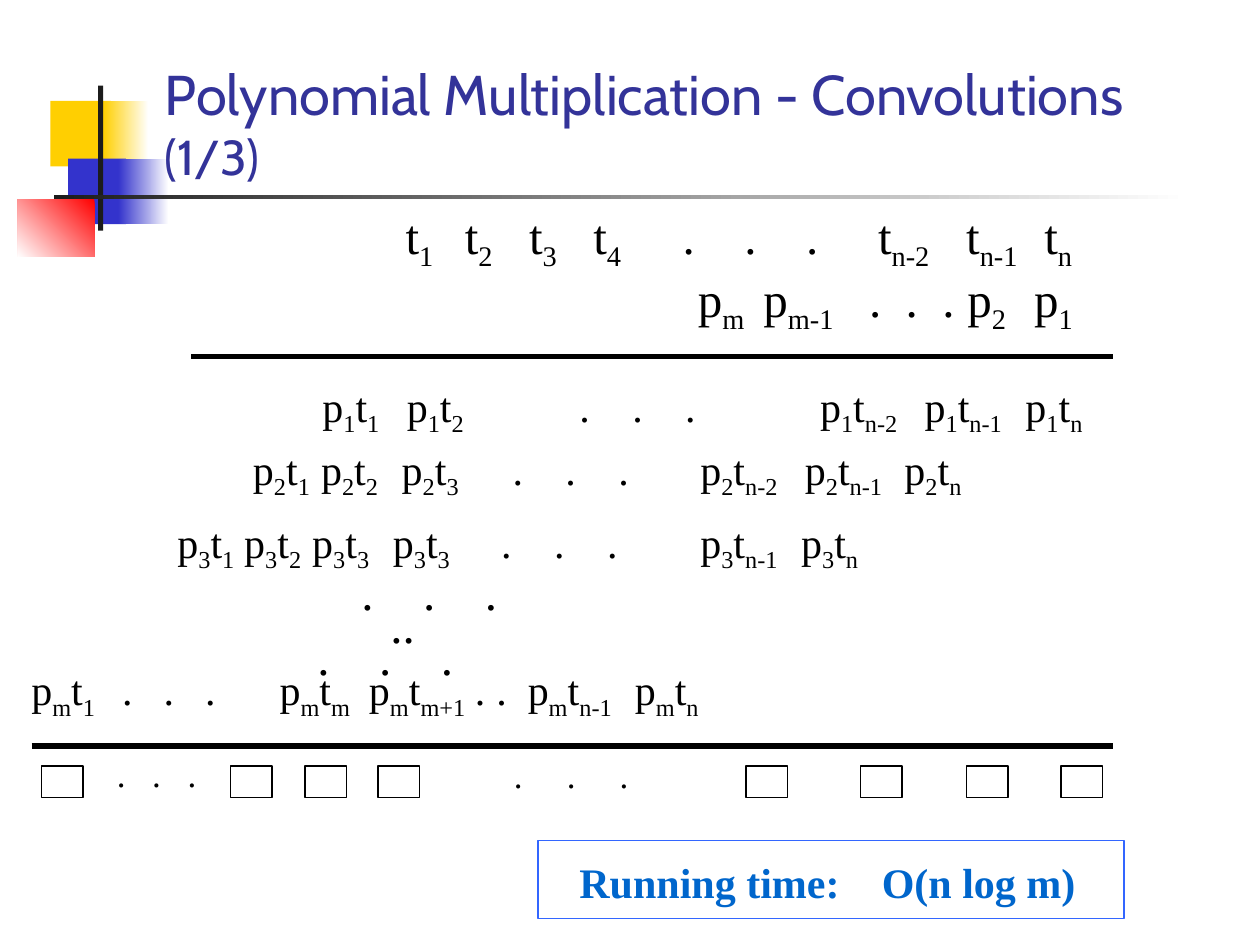
from lxml import etree
from pptx import Presentation
from pptx.dml.color import RGBColor
from pptx.enum.shapes import MSO_CONNECTOR, MSO_SHAPE
from pptx.enum.text import MSO_ANCHOR, PP_ALIGN
from pptx.oxml.ns import qn
from pptx.util import Inches, Pt

RECTANGLE = MSO_SHAPE.RECTANGLE
STRAIGHT = MSO_CONNECTOR.STRAIGHT
TOP, BOTTOM = MSO_ANCHOR.TOP, MSO_ANCHOR.BOTTOM
LEFT, CENTER = PP_ALIGN.LEFT, PP_ALIGN.CENTER

BLACK = RGBColor(0x00, 0x00, 0x00)
WHITE = RGBColor(0xFF, 0xFF, 0xFF)
CHARCOAL = RGBColor(0x1C, 0x1C, 0x1C)
YELLOW = RGBColor(0xFF, 0xCF, 0x01)
BLUE = RGBColor(0x33, 0x33, 0xCC)
RED = RGBColor(0xFF, 0x00, 0x00)
TITLE_BLUE = RGBColor(0x33, 0x33, 0x99)
RESULT_BLUE = RGBColor(0x00, 0x66, 0xCC)
FRAME_BLUE = RGBColor(0x33, 0x66, 0xFF)

INSET = 0.1


class SlideBuilder:
    """Holds the text style and the current slide."""

    style = {"name": "Times New Roman", "size": Pt(24), "bold": False}

    def __init__(self, slide):
        self.slide = slide

    def rectangle(self, box, fill=None, gradient=None, angle=180, line=None):
        shape = self.slide.shapes.add_shape(RECTANGLE, *map(Inches, box))
        shape.shadow.inherit = False
        if gradient:
            shape.fill.gradient()
            shape.fill.gradient_angle = angle
            for stop, color in zip(shape.fill.gradient_stops, gradient):
                stop.color.rgb = color
        elif fill is not None:
            shape.fill.solid()
            shape.fill.fore_color.rgb = fill
        else:
            shape.fill.background()
        if line is None:
            shape.line.fill.background()
        else:
            shape.line.color.rgb = line
            shape.line.width = Pt(0.75)

    def rule(self, start, end, y):
        connector = self.slide.shapes.add_connector(
            STRAIGHT, Inches(start), Inches(y), Inches(end), Inches(y))
        connector.line.color.rgb = BLACK
        connector.line.width = Pt(3)
        etree.SubElement(connector._element.spPr, qn("a:effectLst"))

    def text_box(self, box, anchor=TOP, align=LEFT):
        shape = self.slide.shapes.add_textbox(*map(Inches, box))
        frame = shape.text_frame
        frame.word_wrap = True
        frame.vertical_anchor = anchor
        # No right inset, so that a tight row stays on one line
        frame.margin_left = Inches(INSET if align == LEFT else 0)
        frame.margin_right = 0
        paragraph = frame.paragraphs[0]
        paragraph.alignment = align
        return paragraph

    def run(self, paragraph, text, color=BLACK, subscript=False, **changes):
        run = paragraph.add_run()
        run.text = text
        for name, value in {**self.style, **changes}.items():
            setattr(run.font, name, value)
        run.font.color.rgb = color
        if subscript:
            run._r.get_or_add_rPr().set("baseline", "-25000")

    def term_row(self, box, terms, **changes):
        """Put (x, term) pairs on tab stops; a term alternates base|subscript."""
        paragraph = self.text_box(box)
        tabs = etree.SubElement(paragraph._p.get_or_add_pPr(), qn("a:tabLst"))
        for index, (x, term) in enumerate(terms):
            if index:
                position = Inches(x - box[0] - INSET)
                etree.SubElement(tabs, qn("a:tab"), pos=str(position), algn="l")
            for part, text in enumerate(term.split("|")):
                prefix = "\t" if index and part == 0 else ""
                self.run(paragraph, prefix + text, subscript=part % 2 == 1, **changes)


def dots(start, step, count=3):
    return [(start + step * index, ".") for index in range(count)]


def main():
    presentation = Presentation()
    presentation.slide_width, presentation.slide_height = Inches(10), Inches(7.5)
    slide = presentation.slides.add_slide(presentation.slide_layouts[6])
    builder = SlideBuilder(slide)

    # Corner decoration
    builder.rectangle((0.4, 0.8, 0.48, 0.52), YELLOW)
    builder.rectangle((0.82, 0.8, 0.36, 0.52), gradient=(WHITE, YELLOW))
    builder.rectangle((0.54, 1.26, 0.46, 0.52), BLUE)
    builder.rectangle((0.94, 1.26, 0.4, 0.52), gradient=(WHITE, BLUE))
    builder.rectangle((0.14, 1.58, 0.61, 0.46), gradient=(RED, WHITE), angle=225)
    builder.rectangle((0.78, 0.68, 0.04, 1.15), CHARCOAL)
    builder.rectangle((0.43, 1.55, 9, 0.03), gradient=(WHITE, CHARCOAL))

    # Title
    title = builder.text_box((1.21, 0.27, 8.2, 1.25), anchor=BOTTOM)
    for text, size in (("Polynomial Multiplication - Convolutions", 32), (" (1/3)", 28)):
        builder.run(title, text, TITLE_BLUE, name="Cabin", size=Pt(size))

    # Factors
    large = {"size": Pt(28)}
    builder.term_row(
        (3.12, 1.58, 5.59, 0.63),
        [(3.22, "t|1"), (3.69, "t|2"), (4.2, "t|3"), (4.71, "t|4"), *dots(5.42, 0.49),
         (6.97, "t|n-2"), (7.67, "t|n-1"), (8.29, "t|n")], **large)
    builder.term_row(
        (5.44, 2.08, 3.5, 0.63),
        [(5.54, "p|m"), (6.06, "p|m-1"), *dots(6.9, 0.29),
         (7.68, "p|2"), (8.21, "p|1")], **large)
    builder.rule(8.83, 1.52, 2.83)

    # Partial products
    builder.term_row(
        (2.46, 2.97, 6.32, 0.56),
        [(2.56, "p|1|t|1"), (3.23, "p|1|t|2"), *dots(4.6, 0.42),
         (6.51, "p|1|t|n-2"), (7.34, "p|1|t|n-1"), (8.14, "p|1|t|n")])
    builder.term_row(
        (1.91, 3.47, 5.93, 0.56),
        [(2.01, "p|2|t|1"), (2.55, "p|2|t|2"), (3.19, "p|2|t|3"), *dots(4.07, 0.42),
         (5.56, "p|2|t|n-2"), (6.39, "p|2|t|n-1"), (7.18, "p|2|t|n")])
    builder.term_row(
        (1.31, 4.05, 5.7, 0.56),
        [(1.41, "p|3|t|1"), (1.94, "p|3|t|2"), (2.48, "p|3|t|3"), (3.12, "p|3|t|3"),
         *dots(3.98, 0.42), (5.56, "p|3|t|n-1"), (6.36, "p|3|t|n")])
    builder.term_row(
        (0.15, 5.22, 5.59, 0.56),
        [(0.25, "p|m|t|1"), *dots(0.97, 0.33), (2.22, "p|m|t|m"), (2.93, "p|m|t|m+1"),
         *dots(3.77, 0.17, 2), (4.19, "p|m|t|n-1"), (5.04, "p|m|t|n")])

    # Omitted rows
    for left, top in ((2.77, 4.41), (2.42, 4.92)):
        builder.term_row((left, top, 1.27, 0.57), dots(left + INSET, 0.49), **large)
    middle = builder.text_box((3, 4.67, 0.39, 0.57), align=CENTER)
    builder.run(middle, "..", **large)

    # Column sums
    builder.rule(0.25, 8.83, 5.92)
    for left in (0.33, 1.83, 2.42, 3, 5.92, 6.83, 7.67, 8.42):
        builder.rectangle((left, 6.08, 0.33, 0.25), line=BLACK)
    for left, top, width, step in ((3.98, 5.93, 1.1, 0.42), (0.83, 5.92, 0.82, 0.28)):
        builder.term_row((left, top, width, 0.44), dots(left + INSET, step), size=Pt(20))

    # Running time
    builder.term_row((4.5, 6.75, 4.13, 0.5),
                     [(4.6, "Running time:"), (7, "O(n log m)")],
                     color=RESULT_BLUE, bold=True)
    builder.rectangle((4.27, 6.67, 4.65, 0.62), line=FRAME_BLUE)

    presentation.save("out.pptx")


if __name__ == "__main__":
    main()
